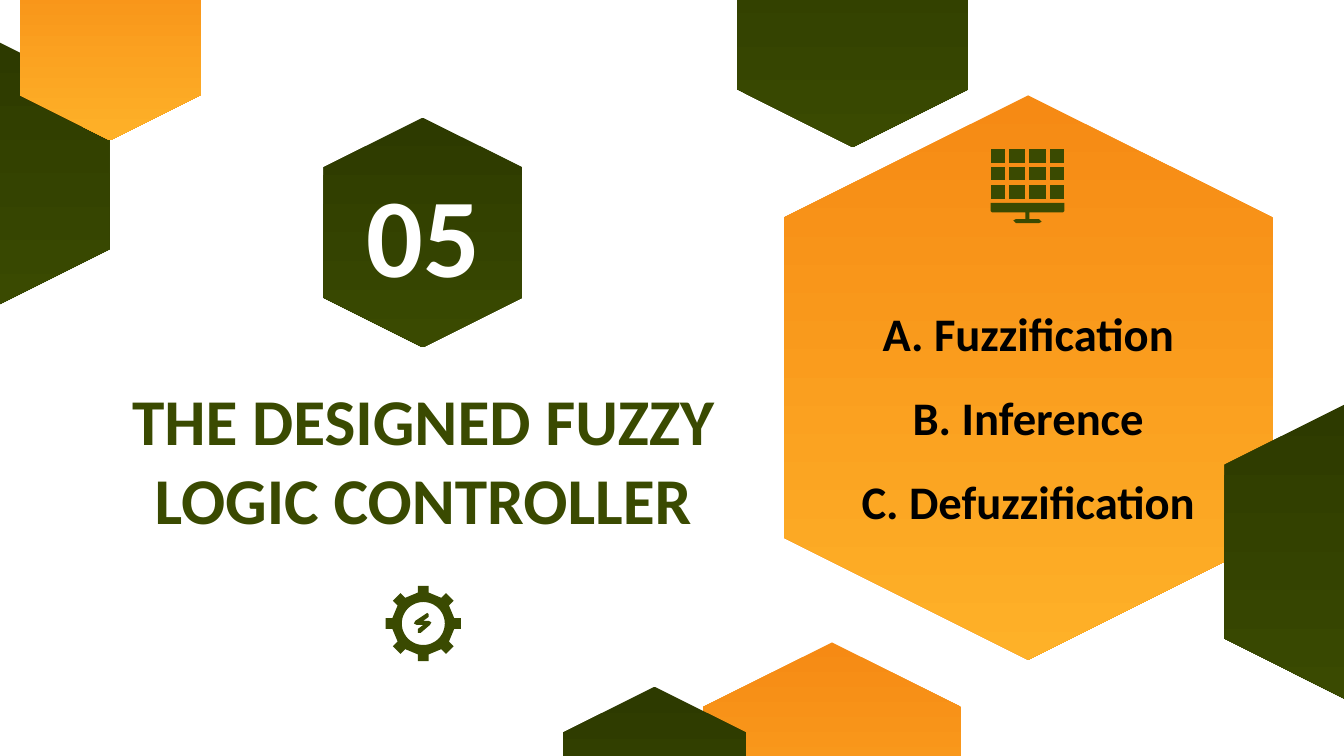
from math import cos, pi, sin

from pptx import Presentation
from pptx.dml.color import RGBColor
from pptx.enum.shapes import MSO_SHAPE
from pptx.enum.text import MSO_ANCHOR, MSO_AUTO_SIZE, PP_ALIGN
from pptx.util import Inches, Pt

DARK_GREEN = RGBColor(0x2D, 0x3A, 0x00)
GREEN = RGBColor(0x3A, 0x4A, 0x01)
ORANGE = RGBColor(0xF6, 0x8A, 0x14)
YELLOW = RGBColor(0xFE, 0xB1, 0x28)
WHITE = RGBColor(0xFF, 0xFF, 0xFF)
BLACK = RGBColor(0x00, 0x00, 0x00)

GREENS = (DARK_GREEN, GREEN)
ORANGES = (ORANGE, YELLOW)

TITLE = "THE DESIGNED FUZZY LOGIC CONTROLLER"
NUMBER = "05"
TOPICS = ["A. Fuzzification", "B. Inference", "C. Defuzzification"]

HEXAGONS = [
    (-1.04, 0.43, 1.99, 1.72, GREENS),
    (5.08, 4.93, 2.22, 1.92, ORANGES),
    (4.09, 5.21, 1.56, 1.36, GREENS),
    (0.04, -0.41, 1.56, 1.35, ORANGES),
    (5.35, -0.76, 1.99, 1.72, GREENS),
    (5.55, 0.99, 4.2, 3.64, ORANGES),
    (2.29, 0.99, 1.71, 1.48, GREENS),
    (8.96, 3.11, 2.29, 1.99, GREENS),
]

GEAR_CENTER = (3.15, 4.64)
GEAR_TOOTH = [(-0.04, -0.23), (-0.04, -0.28), (0.04, -0.28), (0.04, -0.23)]
GEAR_TEETH = 8
GEAR_HOLE_RADIUS = 0.16
BOLT = [
    (3.18, 4.56), (3.09, 4.62), (3.08, 4.64), (3.1, 4.65), (3.15, 4.65),
    (3.11, 4.68), (3.11, 4.71), (3.13, 4.71), (3.2, 4.65), (3.21, 4.63),
    (3.19, 4.62), (3.15, 4.62), (3.19, 4.59), (3.19, 4.57),
]

PANEL_COLUMNS = [(7.37, 0.11), (7.51, 0.12), (7.66, 0.12), (7.81, 0.11)]
PANEL_ROWS = [1.11, 1.24, 1.38]
PANEL_CELL_HEIGHT = 0.1
PANEL_STAND = [
    (7.37, 1.51), (7.37, 1.57), (7.38, 1.58), (7.63, 1.58), (7.63, 1.63),
    (7.56, 1.63), (7.54, 1.64), (7.56, 1.66), (7.73, 1.66), (7.75, 1.65),
    (7.73, 1.63), (7.66, 1.63), (7.66, 1.58), (7.91, 1.58), (7.92, 1.57),
    (7.92, 1.51),
]


def add_hexagon(shapes, left, top, width, height, colors):
    hexagon = shapes.add_shape(
        MSO_SHAPE.HEXAGON, Inches(left), Inches(top), Inches(width), Inches(height)
    )
    hexagon.rotation = 90
    hexagon.shadow.inherit = False
    hexagon.line.fill.background()
    hexagon.fill.gradient()
    hexagon.fill.gradient_angle = 0
    for stop, color in zip(hexagon.fill.gradient_stops, colors):
        stop.color.rgb = color


def add_outline(shapes, *contours):
    contours = [[(Inches(x), Inches(y)) for x, y in contour] for contour in contours]
    builder = shapes.build_freeform(*contours[0][0])
    builder.add_line_segments(contours[0][1:], close=True)
    for contour in contours[1:]:
        builder.move_to(*contour[0])
        builder.add_line_segments(contour[1:], close=True)
    outline = builder.convert_to_shape()
    outline.shadow.inherit = False
    outline.fill.solid()
    outline.fill.fore_color.rgb = GREEN
    outline.line.fill.background()


def rotate_about_gear(x, y, angle):
    center_x, center_y = GEAR_CENTER
    return (
        center_x + x * cos(angle) - y * sin(angle),
        center_y + x * sin(angle) + y * cos(angle),
    )


def add_gear(shapes):
    rim = [
        rotate_about_gear(x, y, 2 * pi * tooth / GEAR_TEETH)
        for tooth in range(GEAR_TEETH)
        for x, y in GEAR_TOOTH
    ]
    hole = [rotate_about_gear(GEAR_HOLE_RADIUS, 0, -2 * pi * step / 48) for step in range(48)]
    add_outline(shapes, BOLT)
    add_outline(shapes, rim, hole)


def add_solar_panel(shapes):
    add_outline(shapes, PANEL_STAND)
    for top in PANEL_ROWS:
        bottom = top + PANEL_CELL_HEIGHT
        for left, width in PANEL_COLUMNS:
            right = left + width
            add_outline(shapes, [(left, top), (left, bottom), (right, bottom), (right, top)])


def write_text(shape, box, lines, size, color, anchor=MSO_ANCHOR.MIDDLE, spacing=1.0):
    shape.left, shape.top, shape.width, shape.height = (Inches(value) for value in box)
    text_frame = shape.text_frame
    text_frame.text = "\n".join(lines)
    text_frame.word_wrap = True
    text_frame.auto_size = MSO_AUTO_SIZE.NONE
    text_frame.vertical_anchor = anchor
    text_frame.margin_left = text_frame.margin_right = Inches(0.1)
    text_frame.margin_top = text_frame.margin_bottom = Inches(0.1)
    for paragraph in text_frame.paragraphs:
        paragraph.alignment = PP_ALIGN.CENTER
        paragraph.line_spacing = spacing
        for run in paragraph.runs:
            run.font.name = "Calibri"
            run.font.size = Pt(size)
            run.font.bold = True
            run.font.color.rgb = color


def main():
    presentation = Presentation()
    presentation.slide_width = Inches(10)
    presentation.slide_height = presentation.slide_width * 9 // 16
    slide = presentation.slides.add_slide(presentation.slide_layouts[5])
    shapes = slide.shapes

    for hexagon in HEXAGONS:
        add_hexagon(shapes, *hexagon)

    write_text(shapes.title, (0.78, 2.56, 4.74, 1.71), [TITLE], 35, GREEN)
    number_box = shapes.add_textbox(0, 0, 0, 0)
    write_text(number_box, (2.49, 1.27, 1.32, 0.92), [NUMBER], 60, WHITE)
    topics_box = shapes.add_textbox(0, 0, 0, 0)
    write_text(topics_box, (6.04, 1.96, 3.22, 1.89), TOPICS, 25, BLACK, MSO_ANCHOR.TOP, 1.5)

    add_gear(shapes.add_group_shape().shapes)
    add_solar_panel(shapes.add_group_shape().shapes)

    presentation.save("out.pptx")


if __name__ == "__main__":
    main()
